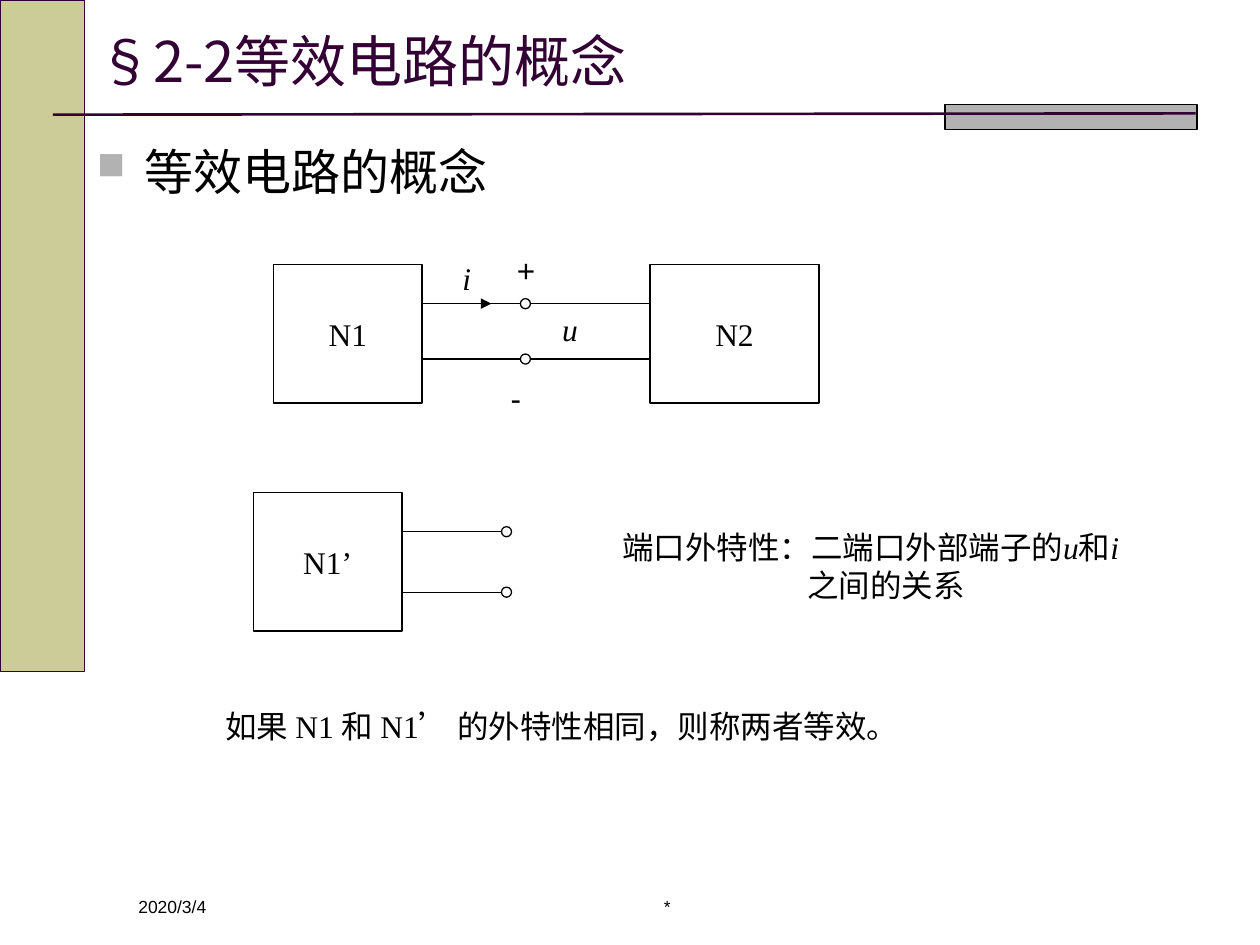
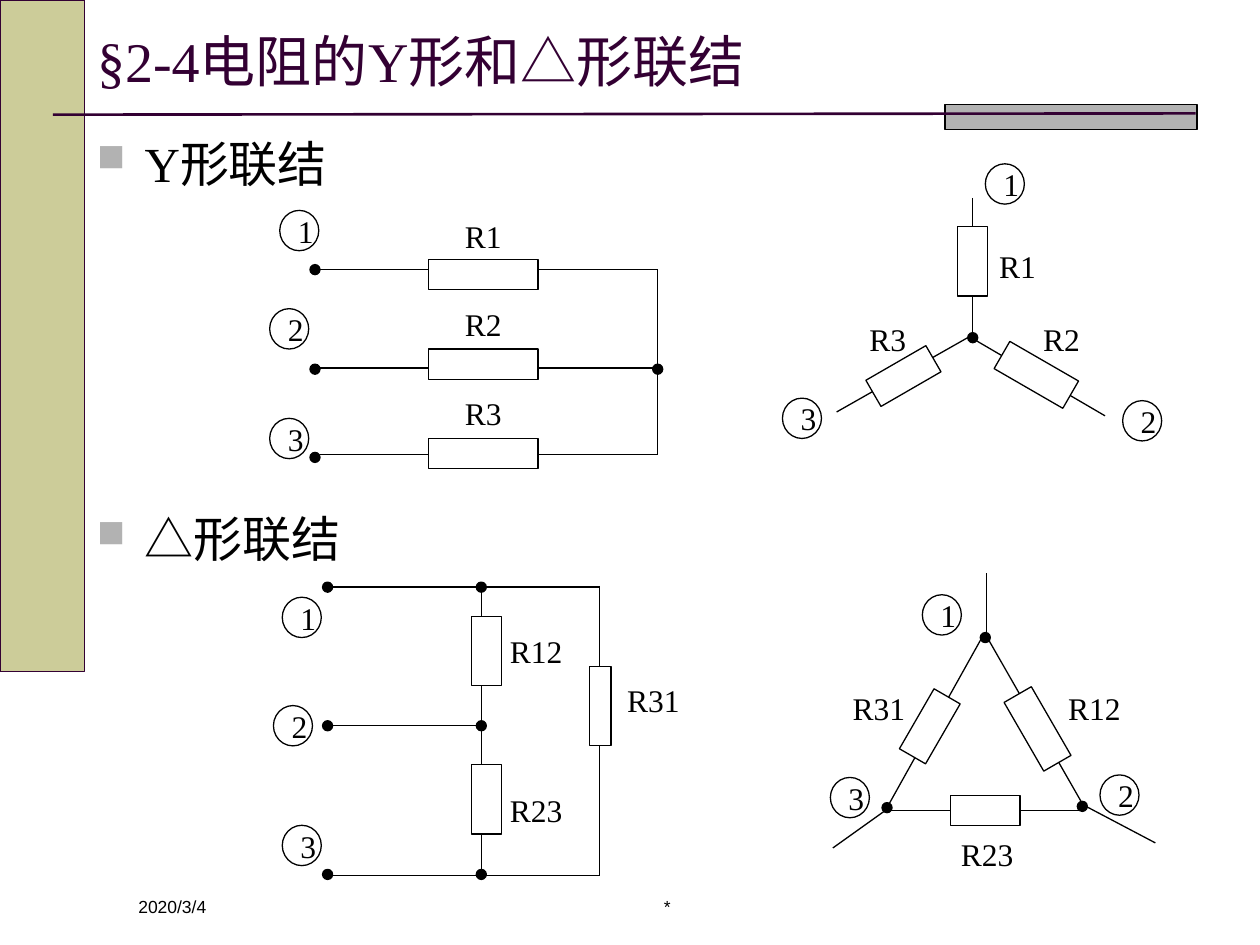
from dataclasses import dataclass

from lxml import etree
from pptx import Presentation
from pptx.dml.color import RGBColor
from pptx.enum import shapes as sh, text as tx
from pptx.oxml.ns import qn
from pptx.util import Inches, Pt


@dataclass(frozen=True)
class Theme:
    ink: str = "000000"
    plum: str = "330033"
    sand: str = "CCCC99"
    gray: str = "B2B2B2"
    white: str = "FFFFFF"
    serif: str = "Times New Roman"
    sans: str = "Arial"
    han: str = "Noto Sans CJK SC"
    head: int = 32
    point: int = 28
    body: int = 18
    foot: int = 10
    thin: float = 0.75
    rule: float = 1.5


T = Theme()
MID = tx.PP_ALIGN.CENTER
LEFT = tx.PP_ALIGN.LEFT
RECT = sh.MSO_SHAPE.RECTANGLE
OVAL = sh.MSO_SHAPE.OVAL


def rgb(code):
    return RGBColor.from_string(code)


# Text
def write(shape, runs, size=T.body, font=T.serif, color=T.ink, align=LEFT,
          anchor=tx.MSO_ANCHOR.TOP, hang=0, bullet=False):
    """Fill a shape with runs: a string, or (text, {font, italic}) pairs."""
    frame = shape.text_frame
    frame.word_wrap = True
    frame.auto_size = tx.MSO_AUTO_SIZE.NONE
    frame.vertical_anchor = anchor
    para = frame.paragraphs[0]
    para.alignment = align
    props = para._p.get_or_add_pPr()
    if hang:
        props.set("marL", str(Inches(hang)))
        props.set("indent", str(-Inches(hang)))
    if bullet:
        tint = etree.SubElement(props, qn("a:buClr"))
        etree.SubElement(tint, qn("a:srgbClr"), val=T.gray)
        etree.SubElement(props, qn("a:buSzPct"), val="78000")
        etree.SubElement(props, qn("a:buChar"), char="■")
    if isinstance(runs, str):
        runs = [(runs, {})]
    for words, style in runs:
        run = para.add_run()
        run.text = words
        run.font.size = Pt(size)
        run.font.name = style.get("font", font)
        run.font.italic = style.get("italic", False)
        run.font.color.rgb = rgb(color)
        etree.SubElement(run._r.get_or_add_rPr(), qn("a:ea"), typeface=T.han)


def note(slide, runs, x, y, w, h=0.4, **fmt):
    box = slide.shapes.add_textbox(Inches(x), Inches(y), Inches(w), Inches(h))
    write(box, runs, **fmt)


def label(slide, words, x, y, w=0.71, **fmt):
    note(slide, words, x, y, w, align=MID, **fmt)


def point(slide, words, y, w, h, **fmt):
    note(slide, words, 0.67, y, w, h, size=T.point, hang=0.38, bullet=True, **fmt)


# Shapes and lines
def draw(slide, kind, x, y, w, h, fill=T.white, line=T.ink, turn=0):
    shape = slide.shapes.add_shape(kind, Inches(x), Inches(y), Inches(w), Inches(h))
    shape.shadow.inherit = False
    shape.fill.solid()
    shape.fill.fore_color.rgb = rgb(fill)
    shape.line.color.rgb = rgb(line)
    shape.line.width = Pt(T.thin)
    shape.rotation = turn
    return shape


def wire(slide, x1, y1, x2, y2, color=T.ink, width=T.thin, arrow=False):
    line = slide.shapes.add_connector(sh.MSO_CONNECTOR.STRAIGHT, Inches(x1),
                                      Inches(y1), Inches(x2), Inches(y2))
    line.line.color.rgb = rgb(color)
    line.line.width = Pt(width)
    if arrow:
        etree.SubElement(line.line._get_or_add_ln(), qn("a:tailEnd"), type="triangle")
    etree.SubElement(line._element.spPr, qn("a:effectLst"))


def wires(slide, ends):
    for end in ends:
        wire(slide, *end)


# Circuit parts
def block(slide, name, x, y, w):
    shape = draw(slide, RECT, x, y, w, 1.1)
    write(shape, name, align=MID, anchor=tx.MSO_ANCHOR.MIDDLE)


def node(slide, x, y, fill=T.ink):
    """Small round terminal, centred on x, y."""
    draw(slide, OVAL, x - 0.04, y - 0.04, 0.08, 0.08, fill)


def nodes(slide, spots):
    for x, y in spots:
        node(slide, x, y)


def tags(slide, spots):
    """Circled terminal numbers, counted from 1."""
    for num, (x, y) in enumerate(spots, 1):
        ring = draw(slide, OVAL, x, y, 0.31, 0.32)
        write(ring, str(num), align=MID, anchor=tx.MSO_ANCHOR.MIDDLE)


def ohms(slide, parts):
    """Resistors: name, label place, then box and turn."""
    for name, spot, (x, y, w, h), turn in parts:
        draw(slide, RECT, x, y, w, h, turn=turn)
        label(slide, name, *spot)


# Shared page
def page(deck, title):
    slide = deck.slides.add_slide(deck.slide_layouts[5])
    draw(slide, RECT, 0, 0, 0.67, 5.33, T.sand, T.plum)
    draw(slide, RECT, 7.5, 0.83, 2, 0.2, T.gray)
    wire(slide, 0.42, 0.91, 9.49, 0.9, T.plum, T.rule)
    head = slide.shapes.title
    head.left, head.top = Inches(0.67), Inches(0.21)
    head.width, head.height = Inches(8.83), Inches(0.53)
    write(head, title, size=T.head, color=T.plum, anchor=tx.MSO_ANCHOR.MIDDLE)
    foot = dict(h=0.28, size=T.foot, font=T.sans)
    note(slide, "2020/3/4", 1, 7.06, 2.17, **foot)
    note(slide, "*", 3.67, 7.06, 3.25, align=MID, **foot)
    return slide


# Slide 1: equivalent circuits
def equal(deck):
    slide = page(deck, [("§2-2", {"font": T.han}), ("等效电路的概念", {})])
    point(slide, "等效电路的概念", 1.07, 8.74, 5.51, font=T.sans)

    block(slide, "N1", 2.17, 2.1, 1.18)
    block(slide, "N2", 5.16, 2.1, 1.34)
    block(slide, "N1’", 2.01, 3.91, 1.18)
    for y in (2.41, 2.85):
        wire(slide, 3.35, y, 5.16, y)
        node(slide, 4.17, y, T.white)
    wire(slide, 3.7, 2.41, 3.9, 2.41, arrow=True)
    for y in (4.22, 4.7):
        wire(slide, 3.19, y, 3.98, y)
        node(slide, 4.02, y, T.white)

    slant = {"italic": True}
    label(slide, [("i", slant)], 3.47, 2.01, 0.47)
    label(slide, [("u", slant)], 4.29, 2.41, 0.47)
    label(slide, "+", 3.98, 1.94, 0.39, font=T.sans)
    label(slide, "-", 3.74, 2.96, font=T.sans)

    note(slide, [("端口外特性：二端口外部端子的", {}), ("u", slant), ("和", {}),
                 ("i", slant), ("之间的关系", {})], 4.84, 4.14, 4.17, 0.7, hang=1.47)
    note(slide, [("如果 N1 和 N1", {}), ("’", {"font": T.han}),
                 (" 的外特性相同，则称两者等效。", {})], 1.69, 5.56, 5.59)


# Slide 2: star and delta
def star_row(slide):
    for row, (y, dot) in enumerate([(2.14, 2.14), (2.92, 2.93), (3.61, 3.63)]):
        wire(slide, 2.54, y, 5.22, y)
        ohms(slide, [(f"R{row + 1}", (3.48, 1.67 + 0.705 * row),
                      (3.4, 2.06 + 0.71 * row, 0.87, 0.24), 0)])
        node(slide, 2.5, dot)
    wire(slide, 5.22, 2.14, 5.22, 3.6)
    node(slide, 5.22, 2.93)
    tags(slide, [(2.22, 1.67), (2.14, 2.45), (2.14, 3.32)])


def star(slide):
    wires(slide, [(7.72, 1.57, 7.72, 2.66), (6.64, 3.27, 7.68, 2.68),
                  (8.77, 3.3, 7.69, 2.67)])
    ohms(slide, [("R1", (7.72, 1.91), (7.6, 1.8, 0.24, 0.55), 0),
                 ("R2", (8.07, 2.49), (8.1, 2.66, 0.25, 0.63), 300),
                 ("R3", (6.69, 2.49), (7.05, 2.71, 0.24, 0.55), 60)])
    node(slide, 7.72, 2.68)
    tags(slide, [(7.82, 1.3), (8.91, 3.18), (6.21, 3.16)])


def delta_row(slide):
    wires(slide, [(2.64, 4.66, 4.76, 4.66), (2.6, 5.76, 3.82, 5.76),
                  (2.56, 6.95, 4.76, 6.95), (3.82, 4.65, 3.82, 6.95),
                  (4.76, 4.65, 4.76, 6.95)])
    ohms(slide, [("R12", (3.9, 4.97), (3.74, 4.89, 0.24, 0.55), 0),
                 ("R23", (3.9, 6.23), (3.74, 6.07, 0.24, 0.55), 0),
                 ("R31", (4.83, 5.36), (4.68, 5.29, 0.17, 0.63), 0)])
    nodes(slide, [(x, y) for x in (2.6, 3.82) for y in (4.66, 5.76, 6.94)])
    tags(slide, [(2.24, 4.74), (2.17, 5.6), (2.24, 6.55)])


def delta(slide):
    wires(slide, [(7.83, 4.55, 7.83, 5.03), (7.04, 6.43, 8.59, 6.43),
                  (7.83, 5.05, 8.62, 6.43), (7.81, 5.03, 7.04, 6.41),
                  (6.61, 6.73, 7.03, 6.43), (9.17, 6.69, 8.62, 6.4)])
    ohms(slide, [("R12", (8.33, 5.42), (8.11, 5.47, 0.25, 0.63), 330),
                 ("R23", (7.48, 6.58), (7.7, 6.16, 0.24, 0.55), 90),
                 ("R31", (6.62, 5.42), (7.26, 5.49, 0.24, 0.55), 30)])
    nodes(slide, [(7.82, 5.06), (8.59, 6.4), (7.04, 6.41)])
    tags(slide, [(7.32, 4.72), (8.73, 6.15), (6.59, 6.17)])


def joins(deck):
    slide = page(deck, "§2-4电阻的Y形和△形联结")
    point(slide, "Y形联结", 1.01, 3.15, 1.11)
    point(slide, "△形联结", 3.99, 3.07, 0.69)
    for part in (star_row, star, delta_row, delta):
        part(slide)


def main():
    deck = Presentation()
    deck.slide_width, deck.slide_height = Inches(10), Inches(7.5)
    equal(deck)
    joins(deck)
    deck.save("out.pptx")


if __name__ == "__main__":
    main()
